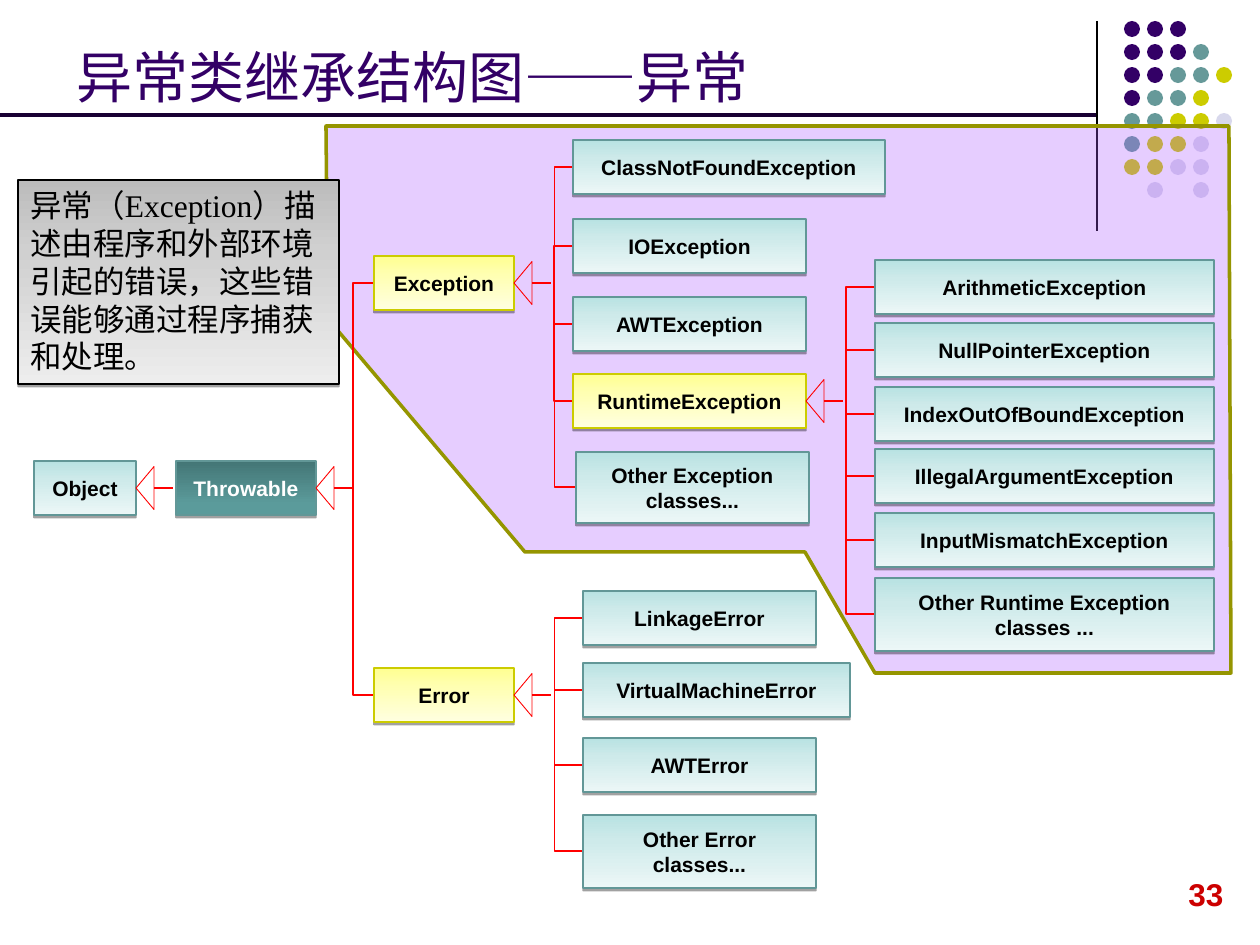
from collections import namedtuple
from dataclasses import dataclass
from lxml import etree
from pptx import Presentation
from pptx.dml.color import RGBColor
from pptx.enum.shapes import MSO_CONNECTOR, MSO_SHAPE
from pptx.enum.text import MSO_ANCHOR, MSO_AUTO_SIZE, PP_ALIGN
from pptx.oxml.ns import qn
from pptx.util import Emu, Pt

RECT, ELLIPSE, TRIANGLE = MSO_SHAPE.RECTANGLE, MSO_SHAPE.OVAL, MSO_SHAPE.ISOSCELES_TRIANGLE
STRAIGHT, ELBOW = MSO_CONNECTOR.STRAIGHT, MSO_CONNECTOR.ELBOW
LEFT, CENTER = PP_ALIGN.LEFT, PP_ALIGN.CENTER
TOP, MIDDLE, BOTTOM = MSO_ANCHOR.TOP, MSO_ANCHOR.MIDDLE, MSO_ANCHOR.BOTTOM
PX = 914400 / 126

Box = namedtuple("Box", "text x y w h style", defaults=(54, "leaf"))


@dataclass(frozen=True)
class Theme:
    title: str = "330066"
    black: str = "000000"
    white: str = "FFFFFF"
    number: str = "CC0000"
    link: str = "FF0000"
    rule: str = "190033"
    region: str = "AD5CFF"
    region_edge: str = "959500"
    title_size: int = 32
    note_size: int = 18
    box_size: int = 12
    sans: str = "Arial"
    serif: str = "Times New Roman"
    chinese: str = "Noto Sans CJK SC"


THEME = Theme()
GRADIENTS = {
    "leaf": ("629797", ((0, "B8E2E2"), (35, "CEEAEA"), (100, "ECF7F7"))),
    "parent": ("CCCC00", ((0, "FFFF90"), (35, "FFFFB2"), (100, "FFFFE0"))),
    "root": ("629797", ((0, "447676"), (80, "5B9B9B"), (100, "5A9D9D"))),
    "note": ("000000", ((0, "BCBCBC"), (35, "D0D0D0"), (100, "EDEDED"))),
}
DOT_COLORS = {"P": "330066", "T": "669999", "Y": "CCCC00", "L": "D8D8EC"}
DOT_ROWS = ("PPP", "PPPT", "PPTTY", "PTTY", "TTYYL", "TYYL", "YYLL", " L L")
REGION = ((326, 126), (1229, 126), (1231, 673), (875, 673), (805, 552), (525, 552), (328, 319))

OBJECT = Box("Object", 34, 461, 102)
THROWABLE = Box("Throwable", 176, 461, 140, style="root")
EXCEPTION = Box("Exception", 374, 256, 140, style="parent")
ERROR = Box("Error", 374, 668, 140, style="parent")
RUNTIME = Box("RuntimeException", 573, 374, 233, style="parent")
EXCEPTIONS = (
    Box("ClassNotFoundException", 573, 140, 312),
    Box("IOException", 573, 219, 233),
    Box("AWTException", 573, 297, 233),
    RUNTIME,
    Box("Other Exception classes...", 576, 452, 233, 71),
)
ERRORS = (
    Box("LinkageError", 583, 591, 233),
    Box("VirtualMachineError", 583, 663, 267),
    Box("AWTError", 583, 738, 233),
    Box("Other Error classes...", 583, 815, 233, 73),
)
RUNTIMES = (
    Box("ArithmeticException", 875, 260, 339),
    Box("NullPointerException", 875, 323, 339),
    Box("IndexOutOfBoundException", 875, 387, 339),
    Box("IllegalArgumentException", 875, 449, 339),
    Box("InputMismatchException", 875, 513, 339),
    Box("Other Runtime Exception classes ...", 875, 578, 339, 73),
)
FAMILIES = (
    (OBJECT, (THROWABLE,), 0, ()),
    (THROWABLE, (EXCEPTION, ERROR), 353, ((0, 1),)),
    (EXCEPTION, EXCEPTIONS, 554, ((0, 4), (1, 2), (3, 2))),
    (ERROR, ERRORS, 554, ((0, 3), (1, 2))),
    (RUNTIME, RUNTIMES, 846, ((0, 5), (1, 3), (4, 2))),
)


def px(*lengths):
    return [Emu(round(length * PX)) for length in lengths]


def rgb(color):
    return RGBColor.from_string(color)


def apply(target, formats):
    for key, value in formats.items():
        setattr(target, key, value)


def set_line(line, color, width):
    line.color.rgb = rgb(color)
    line.width = Pt(width)


def write(frame, text, size, color, font, bold=False, align=LEFT, anchor=TOP, wrap=True):
    apply(frame, {"text": text, "word_wrap": wrap, "vertical_anchor": anchor,
                  "auto_size": MSO_AUTO_SIZE.NONE})
    paragraph = frame.paragraphs[0]
    paragraph.alignment = align
    run = paragraph.runs[0]
    apply(run.font, {"size": Pt(size), "bold": bold, "name": font})
    run.font.color.rgb = rgb(color)
    latin = run.font._element.find(qn("a:latin"))
    east_asian = etree.Element(qn("a:ea"), typeface=THEME.chinese)
    latin.addnext(east_asian)


def add_line(slide, kind, start, end, color, width):
    line = slide.shapes.add_connector(kind, *px(*start, *end))
    set_line(line.line, color, width)
    etree.SubElement(line._element.spPr, qn("a:effectLst"))
    return line


def add_panel(slide, x, y, w, h, style):
    panel = slide.shapes.add_shape(RECT, *px(x, y, w, h))
    edge, stops = GRADIENTS[style]
    set_line(panel.line, edge, 0.75)
    panel.fill.gradient()
    panel.fill.gradient_angle = 270
    properties = panel._element.spPr
    stop_list = properties.find(".//" + qn("a:gsLst"))
    stop_list.clear()
    for position, color in stops:
        stop = etree.SubElement(stop_list, qn("a:gs"), pos=str(position * 1000))
        etree.SubElement(stop, qn("a:srgbClr"), val=color)
    effects = etree.SubElement(properties, qn("a:effectLst"))
    shadow = etree.SubElement(effects, qn("a:outerShdw"), blurRad="0", dist="20320",
                              dir="5400000", rotWithShape="0")
    shade = etree.SubElement(shadow, qn("a:srgbClr"), val=THEME.black)
    etree.SubElement(shade, qn("a:alpha"), val="37000")
    return panel


def add_class(slide, box):
    panel = add_panel(slide, box.x, box.y, box.w, box.h, box.style)
    color = THEME.white if box.style == "root" else THEME.black
    write(panel.text_frame, box.text, THEME.box_size, color, THEME.sans, True, CENTER, MIDDLE)


def middle(box):
    return box.y + box.h // 2


def add_inheritance(slide, parent):
    tip, y = parent.x + parent.w, middle(parent)
    head = slide.shapes.add_shape(TRIANGLE, *px(tip - 12.5, y - 9, 43, 18))
    head.rotation = 270
    head.shadow.inherit = False
    head.fill.background()
    set_line(head.line, THEME.link, 0.5)
    add_line(slide, STRAIGHT, (tip + 18, y), (tip + 37, y), THEME.link, 0.75)


def add_bracket(slide, first, last, trunk):
    start = first.x + (first.x == last.x)
    bracket = add_line(slide, ELBOW, (start, middle(first)), (last.x, middle(last)),
                       THEME.link, 0.75)
    guides = bracket._element.spPr.find(qn("a:prstGeom")).get_or_add_avLst()
    ratio = round((trunk - start) / (last.x - start) * 100000)
    etree.SubElement(guides, qn("a:gd"), name="adj1", fmla=f"val {ratio}")


def add_dots(slide):
    for row, codes in enumerate(DOT_ROWS):
        for column, code in enumerate(codes):
            if code in DOT_COLORS:
                dot = slide.shapes.add_shape(
                    ELLIPSE, *px(1124 + 23 * column, 21 + 23 * row, 16, 16))
                dot.shadow.inherit = False
                dot.fill.solid()
                dot.fill.fore_color.rgb = rgb(DOT_COLORS[code])
                dot.line.fill.background()


def add_region(slide):
    outline = slide.shapes.build_freeform(*REGION[0], scale=PX)
    outline.add_line_segments(REGION[1:], close=True)
    region = outline.convert_to_shape()
    region.shadow.inherit = False
    region.fill.solid()
    region.fill.fore_color.rgb = rgb(THEME.region)
    tint = region._element.spPr.find(qn("a:solidFill"))[0]
    etree.SubElement(tint, qn("a:alpha"), val="30000")
    set_line(region.line, THEME.region_edge, 2)


def add_title(slide):
    title = slide.shapes.title
    apply(title, dict(zip(("left", "top", "width", "height"), px(64, 16, 1040, 100))))
    write(title.text_frame, "异常类继承结构图——异常", THEME.title_size, THEME.title,
          THEME.chinese, anchor=BOTTOM)


def add_note(slide):
    note = add_panel(slide, 18, 180, 321, 204, "note")
    write(note.text_frame,
          "异常（Exception）描述由程序和外部环境引起的错误，这些错误能够通过程序捕获和处理。",
          THEME.note_size, THEME.black, THEME.serif)


def add_page_number(slide):
    number = slide.shapes.add_textbox(*px(1176, 869, 60, 50))
    write(number.text_frame, "33", THEME.note_size, THEME.number, THEME.sans, True, wrap=False)


def main():
    deck = Presentation()
    deck.slide_width, deck.slide_height = px(1260, 945)
    slide = deck.slides.add_slide(deck.slide_layouts[5])
    add_title(slide)
    add_line(slide, STRAIGHT, (1097, 21), (1097, 231), THEME.black, 0.75)
    add_dots(slide)
    add_page_number(slide)
    add_region(slide)
    add_class(slide, OBJECT)
    for parent, children, trunk, pairs in FAMILIES:
        add_inheritance(slide, parent)
        for first, last in pairs:
            add_bracket(slide, children[first], children[last], trunk)
        for child in children:
            add_class(slide, child)
    add_note(slide)
    add_line(slide, STRAIGHT, (0, 115), (1096, 115), THEME.rule, 2.25)
    deck.save("out.pptx")


if __name__ == "__main__":
    main()
